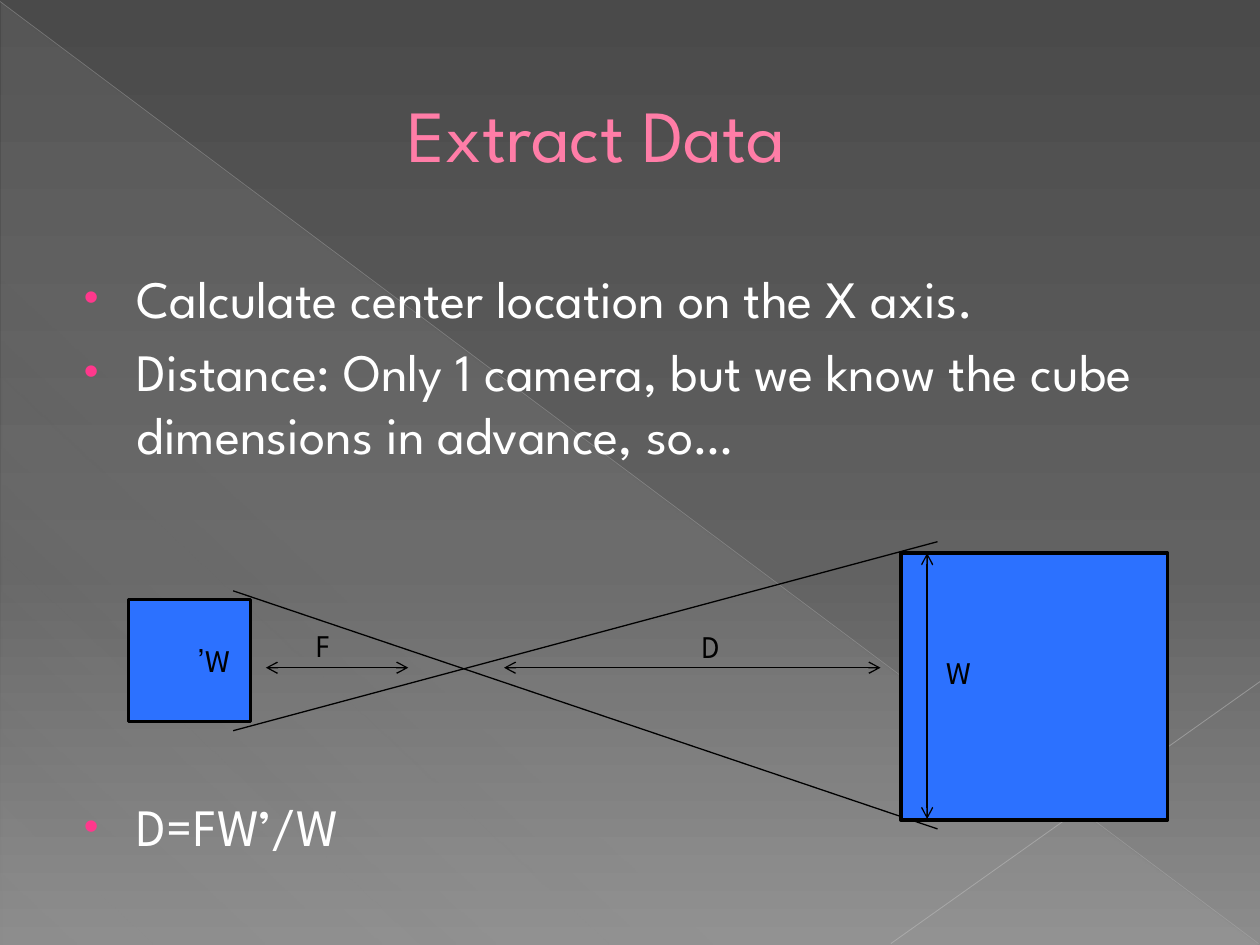
from dataclasses import dataclass

from lxml import etree
from pptx import Presentation
from pptx.dml.color import RGBColor
from pptx.enum.shapes import MSO_CONNECTOR as Link, MSO_SHAPE as Shape
from pptx.enum.text import MSO_ANCHOR as Anchor, PP_ALIGN as Align
from pptx.oxml.ns import qn
from pptx.util import Cm, Pt


@dataclass(frozen=True)
class Theme:
    font: str = "League Spartan"
    title: str = "FF7DA7"
    text: str = "FFFFFF"
    ink: str = "000000"
    bullet: str = "FF388C"
    cube: str = "2C71FF"
    title_size: int = 42
    body_size: int = 30
    label_size: int = 18
    backdrop: tuple = ((0, "4A4A4A", 100), (60, "626262", 100), (100, "8C8C8C", 100))
    sheen: tuple = ((0, "D2D2D2", 10), (70, "D2D2D2", 8), (100, "D2D2D2", 1))


def add_node(parent, tag, **attributes):
    node = etree.SubElement(parent, qn(tag))
    for name, value in attributes.items():
        node.set(name, str(value))
    return node


def set_gradient(fill, owner, stops, angle):
    """Fill with (position, colour, opacity) stops, in percent."""
    fill.gradient()
    gradient = next(owner.iter(qn("a:gradFill")))
    for child in list(gradient):
        gradient.remove(child)
    stop_list = add_node(gradient, "a:gsLst")
    for position, color, opacity in stops:
        stop = add_node(stop_list, "a:gs", pos=position * 1000)
        tint = add_node(stop, "a:srgbClr", val=color)
        add_node(tint, "a:alpha", val=opacity * 1000)
    add_node(gradient, "a:lin", ang=angle * 60000, scaled=0)


def add_text(para, text, *, font, size, color, align=Align.LEFT, rtl=False):
    para.alignment = align
    if rtl:
        para._p.get_or_add_pPr().set("rtl", "1")
    span = para.add_run()
    span.text = text
    span.font.name = font
    span.font.size = Pt(size)
    span.font.color.rgb = RGBColor.from_string(color)


class SlideBuilder:
    def __init__(self, page, theme):
        self.page, self.theme = page, theme

    def background(self):
        set_gradient(self.page.background.fill, self.page._element, self.theme.backdrop, 90)

    def shape(self, kind, left, top, width, height):
        shape = self.page.shapes.add_shape(kind, Cm(left), Cm(top), Cm(width), Cm(height))
        shape.shadow.inherit = False
        return shape

    def sheen(self, left, top, width, height):
        shape = self.shape(Shape.RIGHT_TRIANGLE, left, top, width, height)
        set_gradient(shape.fill, shape._element, self.theme.sheen, 133)
        shape.line.fill.background()

    def cube(self, left, top, side):
        shape = self.shape(Shape.RECTANGLE, left, top, side, side)
        shape.fill.solid()
        shape.fill.fore_color.rgb = RGBColor.from_string(self.theme.cube)
        shape.line.color.rgb = RGBColor.from_string(self.theme.ink)
        shape.line.width = Pt(2)

    def line(self, start, end, color=None, width=0.75, opacity=100, arrows=False):
        line = self.page.shapes.add_connector(Link.STRAIGHT, *map(Cm, start + end))
        line.line.color.rgb = RGBColor.from_string(color or self.theme.ink)
        line.line.width = Pt(width)
        properties = line._element.spPr
        if opacity < 100:
            add_node(next(properties.iter(qn("a:srgbClr"))), "a:alpha", val=opacity * 1000)
        if arrows:
            for tag in ("a:headEnd", "a:tailEnd"):
                add_node(properties.find(qn("a:ln")), tag, type="arrow")
        add_node(properties, "a:effectLst")

    def box(self, left, top, width, height):
        box = self.page.shapes.add_textbox(Cm(left), Cm(top), Cm(width), Cm(height))
        box.text_frame.word_wrap = True
        return box.text_frame

    def title(self, text, left, top, width, height):
        frame = self.box(left, top, width, height)
        frame.vertical_anchor = Anchor.MIDDLE
        frame.margin_right = Cm(1.6)
        add_text(frame.paragraphs[0], text, font=self.theme.font, align=Align.CENTER,
                 size=self.theme.title_size, color=self.theme.title)

    def bullets(self, items, left, top, width, height):
        """Each item is a text and the space before it in points."""
        frame = self.box(left, top, width, height)
        for index, (text, gap) in enumerate(items):
            para = frame.add_paragraph() if index else frame.paragraphs[0]
            para.space_before = Pt(gap)
            properties = para._p.get_or_add_pPr()
            properties.set("marL", str(Cm(1.24)))
            properties.set("indent", str(Cm(-1.07)))
            add_node(add_node(properties, "a:buClr"), "a:srgbClr", val=self.theme.bullet)
            add_node(properties, "a:buSzPct", val=80000)
            add_node(properties, "a:buFont", typeface="Arial")
            add_node(properties, "a:buChar", char="•")
            add_text(para, text, font=self.theme.font,
                     size=self.theme.body_size, color=self.theme.text)

    def label(self, text, left, top):
        frame = self.box(left, top, 1.55, 1.02)
        add_text(frame.paragraphs[0], text, font=self.theme.font, align=Align.RIGHT,
                 size=self.theme.label_size, color=self.theme.ink, rtl=True)


def main():
    deck = Presentation()
    deck.slide_width, deck.slide_height = Cm(25.4), Cm(19.05)
    page = deck.slides.add_slide(deck.slide_layouts[6])
    slide = SlideBuilder(page, Theme())

    # Backdrop
    slide.background()
    slide.sheen(0.03, 0.05, 25.35, 19)
    slide.line((0, 0.03), (25.37, 19.02), "BFBFBF", 0.39, 35)
    slide.line((25.4, 13.74), (17.96, 19.02), "C6C6C6", 0.47, 45)

    # Title and bullets; the wide gap leaves room for the diagram
    slide.title("Extract Data", 1.27, 0.74, 22.86, 3.89)
    slide.bullets([
        ("Calculate center location on the X axis.", 6),
        ("Distance: Only 1 camera, but we know the cube dimensions in advance, so…", 6),
        ("D=FW’/W", 188),
    ], 1.27, 5.23, 22.86, 12.7)

    # Light rays, real cube and its image
    slide.line((4.7, 11.91), (18.9, 16.71))
    slide.line((4.7, 14.73), (18.9, 10.92))
    slide.cube(18.16, 11.15, 5.38)
    slide.cube(2.59, 12.09, 2.46)

    # Dimension arrows and labels
    axis = 13.46
    slide.line((10.16, axis), (17.75, axis), arrows=True)
    slide.line((5.36, axis), (8.23, axis), arrows=True)
    slide.line((18.69, 11.15), (18.69, 16.51), arrows=True)
    for text, left, top in (("D", 13.21, 12.52), ("F", 5.36, 12.5),
                            ("W", 18.29, 13.03), ("W’", 3.35, 12.8)):
        slide.label(text, left, top)

    deck.save("out.pptx")


if __name__ == "__main__":
    main()
